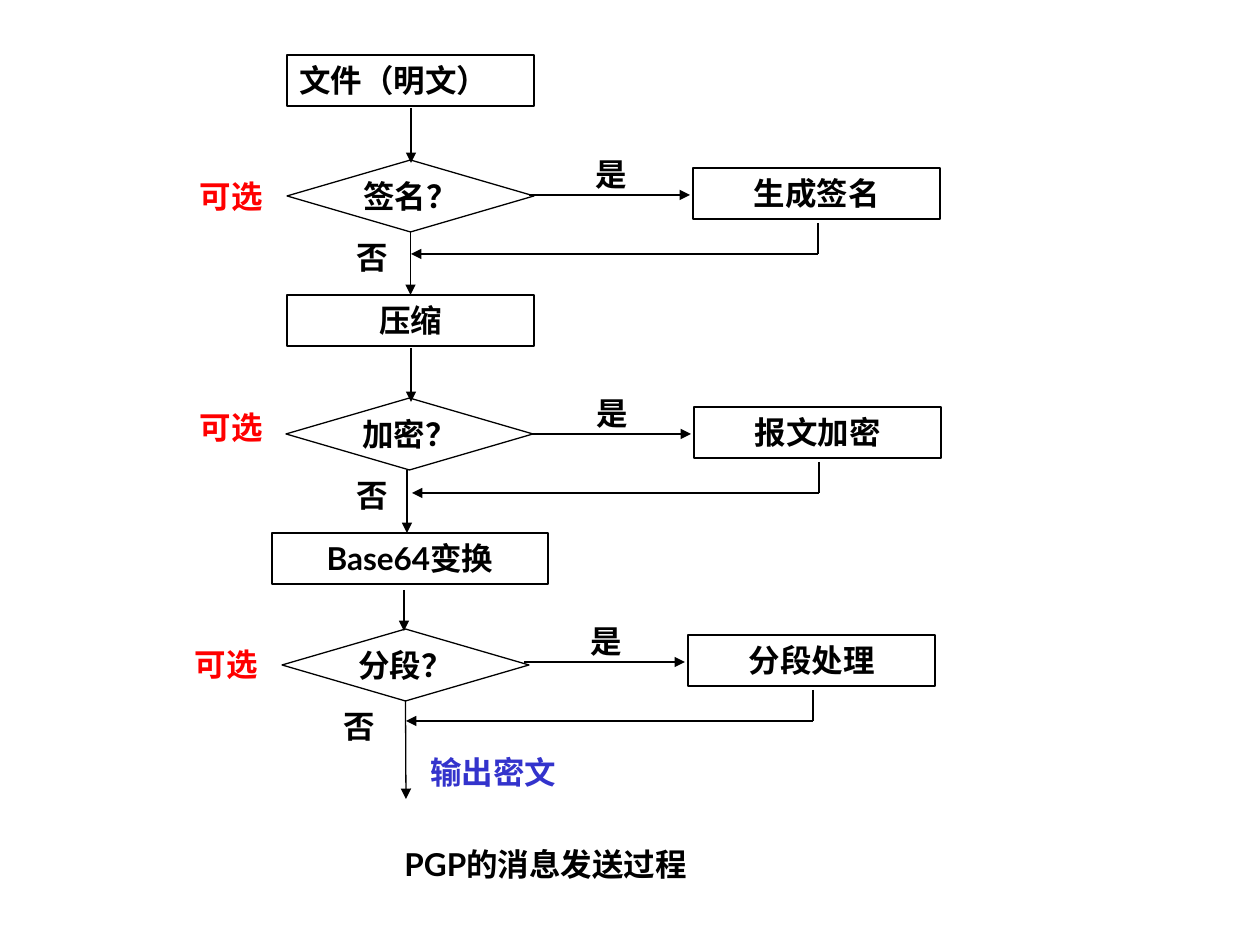
import pptx
import pptx.util
import pptx.dml.color
import pptx.enum.shapes
import pptx.enum.text
import pptx.oxml.ns
from lxml import etree

PX = 914400 / 126
KINDS = pptx.enum.shapes.MSO_SHAPE
ALIGN = pptx.enum.text.PP_ALIGN
INK, RED, BLUE = "000000", "FF0000", "3333CC"
WIDE, HIGH, TALL = 247, 51, 72

steps = [
    ("文件（明文）", 287, 55, WIDE, ALIGN.LEFT),
    ("压缩", 287, 295, WIDE, ALIGN.CENTER),
    ("Base64变换", 272, 533, 276, ALIGN.CENTER),
]
stages = [
    dict(ask="签名？", act="生成签名", gem=(287, 160), side=(693, 168),
         enter=(411, 108, 163), leave=(411, 295), no=344, opt=(139, 171)),
    dict(ask="加密？", act="报文加密", gem=(286, 398), side=(694, 407),
         enter=(411, 348, 402), leave=(407, 533), no=344, opt=(139, 402)),
    dict(ask="分段？", act="分段处理", gem=(282, 629), side=(688, 635),
         enter=(404, 590, 631), leave=(406, 799), no=331, opt=(134, 639)),
]
notes = [
    ("输出密文", 418, 747, 284, BLUE),
    ("PGP的消息发送过程", 392, 839, 496, INK),
]


def emu(px):
    return pptx.util.Emu(round(px * PX))


def tint(code):
    return pptx.dml.color.RGBColor.from_string(code)


def write(shape, text, color, align, wrap=True):
    frame = shape.text_frame
    frame.text = text
    frame.word_wrap = wrap
    para = frame.paragraphs[0]
    para.alignment = align
    font = para.runs[0].font
    font.name, font.size, font.bold = "Lato", pptx.util.Pt(18), True
    font.color.rgb = tint(color)


def label(text, x, y, w, color=INK, align=ALIGN.LEFT):
    box = slide.shapes.add_textbox(emu(x), emu(y), emu(w), emu(HIGH))
    write(box, text, color, align)


def node(kind, text, x, y, w, h, align=ALIGN.CENTER):
    shape = slide.shapes.add_shape(kind, emu(x), emu(y), emu(w), emu(h))
    shape.shadow.inherit = False
    shape.fill.background()
    shape.line.color.rgb = tint(INK)
    shape.line.width = pptx.util.Pt(0.75)
    gem = kind == KINDS.DIAMOND
    anchor = pptx.enum.text.MSO_ANCHOR
    shape.text_frame.vertical_anchor = anchor.MIDDLE if gem else anchor.TOP
    write(shape, text, INK, align, not gem)
    return shape


def line(x1, y1, x2, y2, head=True):
    link = slide.shapes.add_connector(
        pptx.enum.shapes.MSO_CONNECTOR.STRAIGHT,
        emu(x1), emu(y1), emu(x2), emu(y2))
    link.line.color.rgb = tint(INK)
    link.line.width = pptx.util.Pt(0.75)
    if head:
        etree.SubElement(link.line._get_or_add_ln(),
                         pptx.oxml.ns.qn("a:tailEnd"), type="triangle")
    etree.SubElement(link._element.spPr, pptx.oxml.ns.qn("a:effectLst"))
    return link


def near(shape, x):
    return abs(shape.left + shape.width / 2 - emu(x)) <= emu(1)


deck = pptx.Presentation()
deck.slide_width, deck.slide_height = emu(1260), emu(945)
slide = deck.slides.add_slide(deck.slide_layouts[6])

boxes = [node(KINDS.RECTANGLE, text, x, y, w, HIGH, align)
         for text, x, y, w, align in steps]

for stage, after in zip(stages, boxes[1:] + [None]):
    x, top, end = stage["enter"]
    line(x, top, x, end)
    gx, gy = stage["gem"]
    gem = node(KINDS.DIAMOND, stage["ask"], gx, gy, WIDE, TALL)
    sx, sy = stage["side"]
    node(KINDS.RECTANGLE, stage["act"], sx, sy, WIDE, HIGH)
    line(sx - 164, sy + 27, sx - 3, sy + 27)
    label("是", sx - 110, sy - 19, 87)
    line(sx + 125, sy + 55, sx + 125, sy + 86, False)
    line(sx + 125, sy + 86, sx - 282, sy + 86)

    x, end = stage["leave"]
    down = line(x, gy + TALL, x, end)
    if near(gem, x):
        down.begin_connect(gem, 2)
    if after is not None and near(after, x):
        down.end_connect(after, 0)
    label("否", stage["no"], gy + TALL, 87)
    label("可选", *stage["opt"], 136, RED, ALIGN.RIGHT)

for note in notes:
    label(*note)

deck.save("out.pptx")
